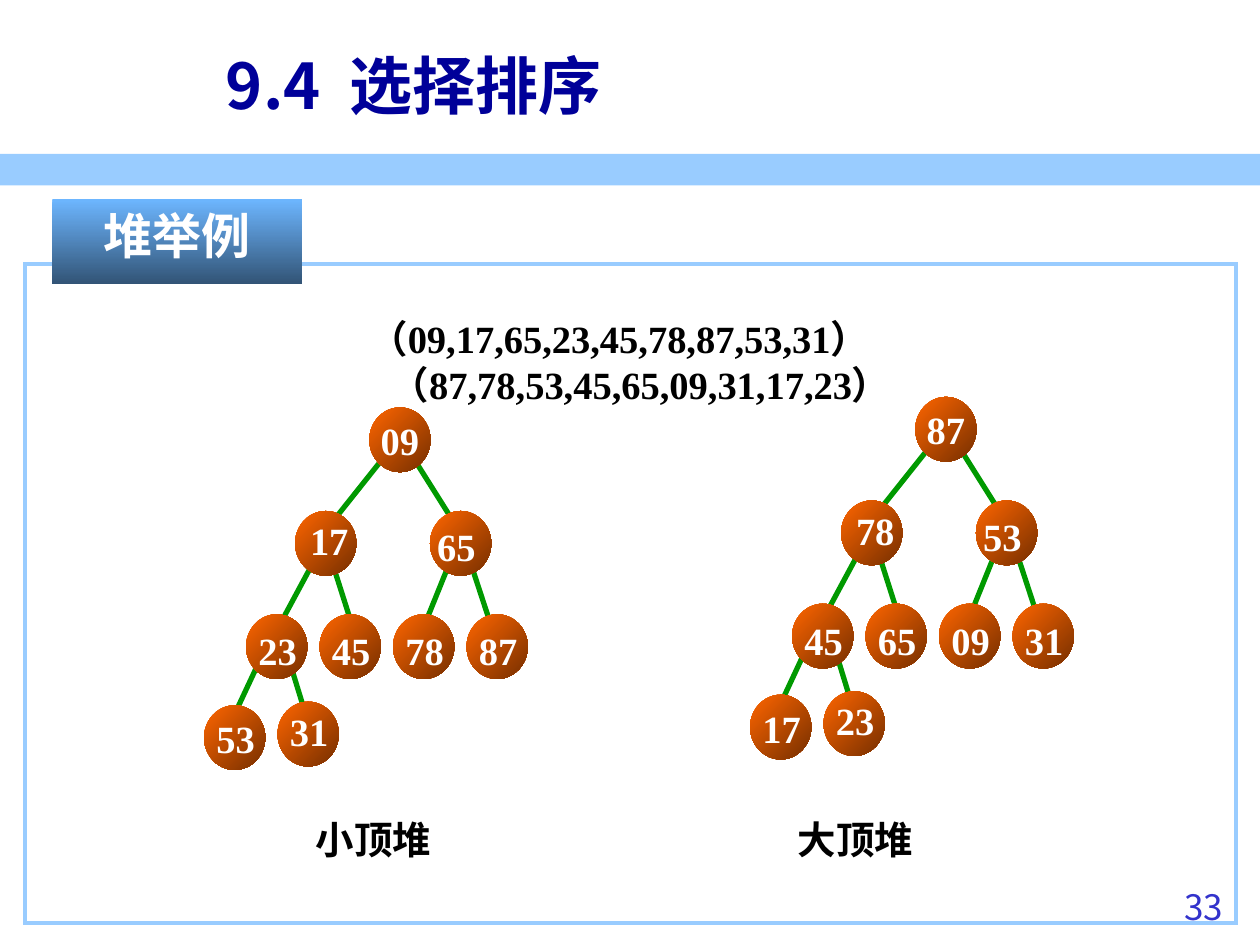
from lxml.etree import SubElement
from pptx import Presentation
from pptx.dml.color import RGBColor
from pptx.enum.shapes import MSO_CONNECTOR, MSO_SHAPE
from pptx.enum.text import MSO_ANCHOR, MSO_AUTO_SIZE, PP_ALIGN
from pptx.oxml.ns import qn
from pptx.util import Pt

COLORS = {"sky": "99CCFF", "tag_top": "6DB6FF", "tag_end": "325476",
          "node": "FF6600", "node_end": "762F00", "edge": "009900",
          "title": "000099", "number": "3333CC", "white": "FFFFFF", "black": "000000"}
SANS, SERIF = "Noto Sans CJK SC", "Times New Roman"


def write(s, lines, size, color, font=SERIF, bold=True, align=PP_ALIGN.LEFT,
          tab=None, ea=SANS, **frame):
    """Fill a shape with paragraphs; frame holds text frame attributes."""
    tf = s.text_frame
    for name, value in {"word_wrap": True, "vertical_anchor": MSO_ANCHOR.TOP, **frame}.items():
        setattr(tf, name, value)
    for i, line in enumerate(lines):
        p = tf.paragraphs[0] if i == 0 else tf.add_paragraph()
        p.alignment = align
        if tab:
            stops = SubElement(p._p.get_or_add_pPr(), qn("a:tabLst"))
            SubElement(stops, qn("a:tab"), pos=str(Pt(tab)), algn="l")
        r = p.add_run()
        r.text = line
        for name, value in {"name": font, "size": Pt(size), "bold": bold}.items():
            setattr(r.font, name, value)
        r.font.color.rgb = RGBColor.from_string(COLORS[color])
        SubElement(r._r.get_or_add_rPr(), qn("a:ea"), typeface=ea)


def add_filled(shapes, kind, box, colors, angle=0):
    """Add an unlined shape, with a gradient when two colours are given."""
    s = shapes.add_shape(kind, *map(Pt, box))
    s.shadow.inherit = False
    s.line.fill.background()
    if len(colors) == 1:
        s.fill.solid()
        s.fill.fore_color.rgb = RGBColor.from_string(COLORS[colors[0]])
    else:
        s.fill.gradient()
        s.fill.gradient_angle = 360 - angle
        for stop, color in zip(s.fill.gradient_stops, colors):
            stop.color.rgb = RGBColor.from_string(COLORS[color])
    return s


prs = Presentation()
prs.slide_width, prs.slide_height = Pt(720), Pt(540)
shapes = prs.slides.add_slide(prs.slide_layouts[6]).shapes

# Header band, page number, frame, section tag and title
add_filled(shapes, MSO_SHAPE.RECTANGLE, (0, 88, 720, 18), ["sky"])
number = shapes.add_textbox(Pt(638), Pt(502.5), Pt(68), Pt(37.5))
write(number, ["33"], 20, "number", SANS, False, PP_ALIGN.RIGHT)

frame = shapes.add_shape(MSO_SHAPE.RECTANGLE, Pt(14.4), Pt(151), Pt(692), Pt(376.5))
frame.shadow.inherit = False
frame.fill.background()
frame.line.color.rgb = RGBColor.from_string(COLORS["sky"])
frame.line.width = Pt(2.25)
SubElement(frame.line._get_or_add_ln(), qn("a:miter"), lim="800000")

tag = add_filled(shapes, MSO_SHAPE.RECTANGLE, (30, 113.8, 142.5, 48.4), ["tag_top", "tag_end"], 90)
write(tag, ["堆举例"], 28, "white", "Noto Sans CJK KR", align=PP_ALIGN.CENTER,
      ea="Noto Sans CJK KR")

title = shapes.add_textbox(Pt(122), Pt(15), Pt(590), Pt(66))
write(title, ["9.4\t选择排序"], 36, "title", SANS, tab=70.5, vertical_anchor=MSO_ANCHOR.MIDDLE)

captions = shapes.add_textbox(Pt(60), Pt(463), Pt(582), Pt(34))
write(captions, ["小顶堆\t大顶堆"], 22, "black", tab=275.5, margin_left=Pt(120.5))

# Both heaps share one layout: x, y of each node, then the shift of its label
NODES = [(211, 232.8, 0, 0), (168.6, 292, 1.5, 0), (245.7, 292, -3, 3.6)]
NODES += [(140.6 + 42 * i, 351, 0, 4) for i in range(4)]
NODES += [(116.6, 403, 0, 2.2), (158.6, 401, 0, 0)]
EDGES = [(165, 376.6, 178.6, 421), (232, 255, 260, 299.5), (218, 263, 183, 307),
         (150.5, 373, 134.6, 407), (266.4, 314, 281, 358.6), (260, 314, 239, 366),
         (190, 322, 204, 366), (183, 314, 155, 366)]
HEAPS = [(0, 0, ["09", "17", "65", "23", "45", "78", "87", "53", "31"]),
         (312, -6, ["87", "78", "53", "45", "65", "09", "31", "17", "23"])]

for dx, dy, keys in HEAPS:
    heap = shapes.add_group_shape().shapes
    for x1, y1, x2, y2 in EDGES:
        edge = heap.add_connector(MSO_CONNECTOR.STRAIGHT, Pt(x1 + dx), Pt(y1 + dy),
                                  Pt(x2 + dx), Pt(y2 + dy))
        edge.line.color.rgb = RGBColor.from_string(COLORS["edge"])
        edge.line.width = Pt(3)
        SubElement(edge._element.spPr, qn("a:effectLst"))
    for i, (key, (x, y, label_dx, label_dy)) in enumerate(zip(keys, NODES)):
        x, y = x + dx, y + dy
        node = add_filled(heap, MSO_SHAPE.OVAL, (x, y, 35, 37), ["node", "node_end"], 45)
        if i == 0:
            write(node, [key], 22, "white", align=PP_ALIGN.CENTER, word_wrap=False,
                  vertical_anchor=MSO_ANCHOR.MIDDLE)
        else:
            label = heap.add_textbox(Pt(x + label_dx), Pt(y + label_dy), Pt(36.5), Pt(34))
            write(label, [key], 22, "white", word_wrap=False,
                  auto_size=MSO_AUTO_SIZE.SHAPE_TO_FIT_TEXT)

# The two key sequences, the second line set a little to the right
sequences = shapes.add_textbox(Pt(54), Pt(176.5), Pt(624), Pt(60.5))
write(sequences, ["（09,17,65,23,45,78,87,53,31）", "（87,78,53,45,65,09,31,17,23）"],
      22, "black", align=PP_ALIGN.CENTER, margin_right=Pt(31.5))
sequences.text_frame.paragraphs[1]._p.get_or_add_pPr().set("marL", str(Pt(24.5)))

prs.save("out.pptx")
